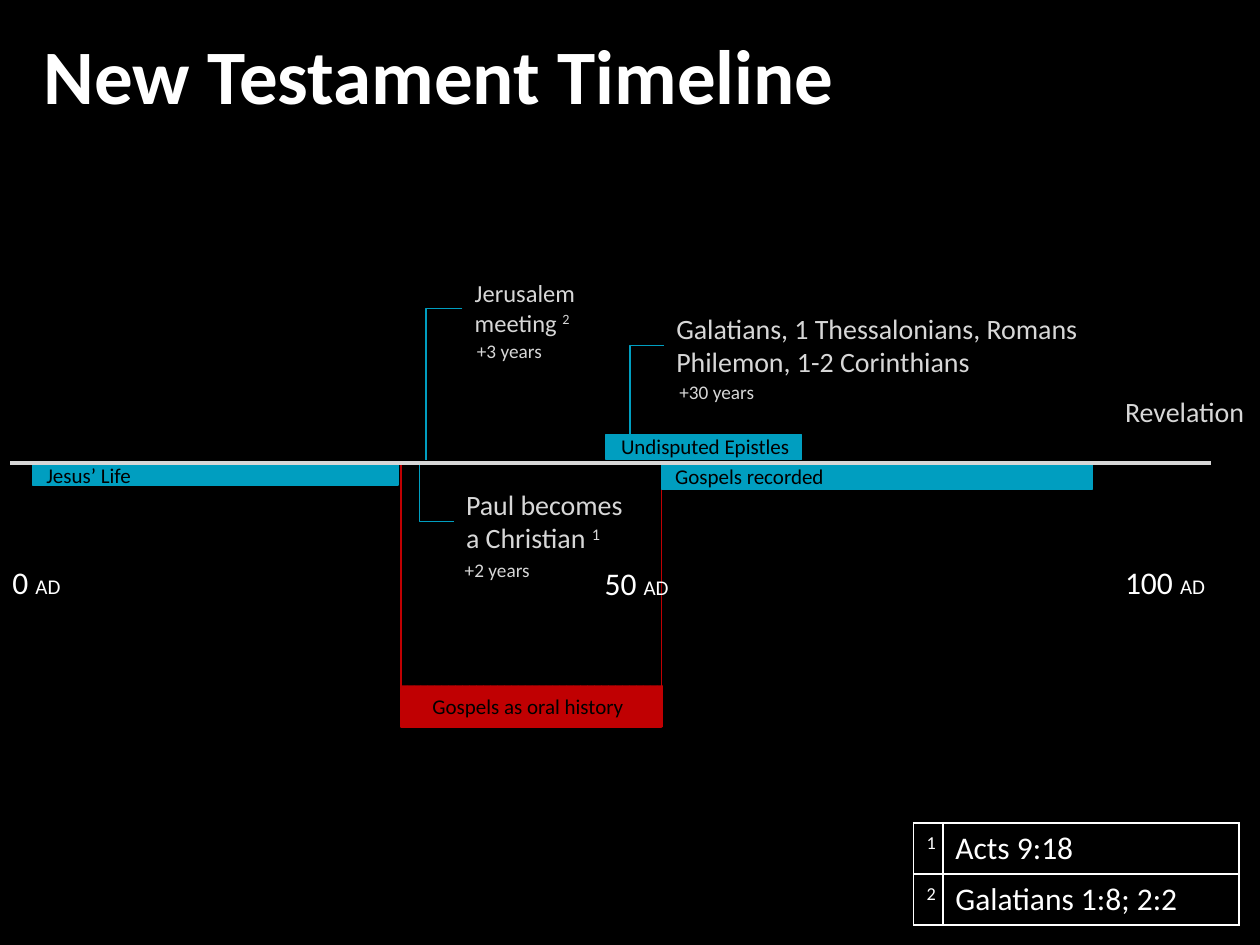
from dataclasses import dataclass
from typing import Any, Optional

import pptx
import pptx.dml.color
import pptx.enum.dml
import pptx.enum.shapes
import pptx.enum.text
import pptx.oxml.ns
import pptx.util
from lxml import etree

Pt = pptx.util.Pt
ALIGN = pptx.enum.text.PP_ALIGN

BLACK, WHITE, GREY = "000000", "FFFFFF", "D7D7D7"
BLUE, RED = "009EC0", "C00002"
FONT = "Calibri"
AXIS_Y = 264.5


@dataclass(frozen=True)
class Piece:
    text: str
    size: float
    raised: bool = False


@dataclass(frozen=True)
class Label:
    left: float
    top: float
    width: float
    height: float
    paragraphs: list[list[Piece]]
    color: str = GREY
    wrap: bool = True
    bold: bool = False
    align: Optional[Any] = None


@dataclass(frozen=True)
class Block:
    left: float
    top: float
    width: float
    height: float
    fill: Optional[str] = BLUE
    line: Optional[str] = BLUE
    line_width: float = 0.75


@dataclass(frozen=True)
class Callout:
    """Elbow from a label's edge, across and then up or down to the axis."""
    label_x: float
    label_y: float
    foot_x: float
    foot_y: float


def rgb(color: str) -> pptx.dml.color.RGBColor:
    return pptx.dml.color.RGBColor.from_string(color)


def add_pieces(paragraph, pieces: list[Piece], color: str, bold: bool = False) -> None:
    for piece in pieces:
        run = paragraph.add_run()
        run.text = piece.text
        formats = {"name": FONT, "size": Pt(piece.size), "bold": bold}
        for attribute, value in formats.items():
            setattr(run.font, attribute, value)
        run.font.color.rgb = rgb(color)
        if piece.raised:
            run._r.get_or_add_rPr().set("baseline", "30000")


def add_label(slide, label: Label) -> None:
    box = slide.shapes.add_textbox(
        Pt(label.left), Pt(label.top), Pt(label.width), Pt(label.height))
    frame = box.text_frame
    formats = {"word_wrap": label.wrap,
               "auto_size": pptx.enum.text.MSO_AUTO_SIZE.SHAPE_TO_FIT_TEXT}
    for attribute, value in formats.items():
        setattr(frame, attribute, value)
    for index, pieces in enumerate(label.paragraphs):
        paragraph = frame.add_paragraph() if index else frame.paragraphs[0]
        paragraph.alignment = label.align
        add_pieces(paragraph, pieces, label.color, label.bold)


def add_block(slide, block: Block):
    shape = slide.shapes.add_shape(
        pptx.enum.shapes.MSO_SHAPE.RECTANGLE,
        Pt(block.left), Pt(block.top), Pt(block.width), Pt(block.height))
    shape.shadow.inherit = False
    if block.fill:
        shape.fill.solid()
        shape.fill.fore_color.rgb = rgb(block.fill)
    else:
        shape.fill.background()
    if block.line:
        shape.line.color.rgb = rgb(block.line)
        shape.line.width = Pt(block.line_width)
    else:
        shape.line.fill.background()
    return shape


def add_line(slide, kind, start: tuple[float, float], end: tuple[float, float],
             color: str, width: float):
    line = slide.shapes.add_connector(
        kind, Pt(start[0]), Pt(start[1]), Pt(end[0]), Pt(end[1]))
    line.line.color.rgb = rgb(color)
    line.line.width = Pt(width)
    etree.SubElement(line._element.spPr, pptx.oxml.ns.qn("a:effectLst"))
    return line


def add_callout(slide, callout: Callout) -> None:
    elbow = add_line(slide, pptx.enum.shapes.MSO_CONNECTOR.ELBOW,
                     (callout.label_x, callout.label_y),
                     (callout.foot_x, callout.foot_y), BLUE, 0.75)
    geometry = elbow._element.spPr.find(pptx.oxml.ns.qn("a:prstGeom"))
    geometry.set("prst", "bentConnector2")


def add_references(slide, references: list[str]) -> None:
    row_height = 29.2
    table = slide.shapes.add_table(
        len(references), 2, Pt(522), Pt(470.2),
        Pt(186), Pt(row_height * len(references))).table
    for flag in ("first_row", "horz_banding"):
        setattr(table, flag, False)
    for column, width in zip(table.columns, (16.8, 169.2)):
        column.width = Pt(width)
    for index, reference in enumerate(references):
        table.rows[index].height = Pt(row_height)
        number, passage = table.cell(index, 0), table.cell(index, 1)
        number.margin_left, number.margin_right = Pt(0), Pt(4)
        number.text_frame.paragraphs[0].alignment = ALIGN.RIGHT
        add_pieces(number.text_frame.paragraphs[0],
                   [Piece(str(index + 1), 18, raised=True)], WHITE)
        add_pieces(passage.text_frame.paragraphs[0], [Piece(reference, 18)], WHITE)
        for cell in (number, passage):
            cell.fill.background()


def year_label(year: int, left: float, top: float, width: float) -> Label:
    return Label(left, top, width, 29, [[Piece(f"{year} ", 18), Piece("AD", 12)]],
                 WHITE, wrap=False)


def period_label(name: str, left: float, top: float, width: float,
                 align: Optional[Any] = None) -> Label:
    return Label(left, top, width, 21.8, [[Piece(name, 12)]], BLACK, align=align)


def offset_label(years: int, left: float, top: float, width: float) -> Label:
    return Label(left, top, width, 20.6, [[Piece(f"+{years} years", 11)]], wrap=False)


PERIODS = [
    Block(378, 265, 246.2, 14.4),
    Block(18.7, 265, 208.8, 12.2),
    Block(346.3, 248.4, 111.6, 14.4),
]
LABELS = [
    Label(18, 12.2, 678, 60.5, [[Piece("New Testament Timeline", 44)]], WHITE, bold=True),
    year_label(0, 0, 318.2, 42.5),
    year_label(50, 338.4, 319, 51.8),
    year_label(100, 635.8, 318.2, 60.5),
    period_label("Jesus’ Life", 19.4, 260.6, 169.2),
    period_label("Undisputed Epistles", 347.8, 244.1, 110.9),
    period_label("Gospels recorded", 378.7, 261.4, 134),
    period_label("Gospels as oral history", 226.8, 392.8, 149.8, ALIGN.CENTER),
    Label(259.2, 275, 106.6, 46,
          [[Piece("Paul becomes a Christian ", 16), Piece("1", 16, raised=True)]]),
    offset_label(2, 258.5, 315.4, 52.6),
    Label(264.2, 155.5, 77.8, 41,
          [[Piece("Jerusalem meeting ", 14), Piece("2", 14, raised=True)]]),
    offset_label(3, 265.4, 190.2, 52.6),
    Label(379.4, 174.2, 270.7, 46,
          [[Piece("Galatians, 1 Thessalonians, Romans", 16)],
           [Piece("Philemon, 1-2 Corinthians", 16)]]),
    offset_label(30, 381.1, 213.8, 58.3),
    Label(635.8, 221.8, 84.2, 26.6, [[Piece("Revelation", 16)]]),
]
CALLOUTS = [
    Callout(264.2, 176.4, 243.4, 263),
    Callout(259.2, 297.9, 239.8, 265),
    Callout(379.4, 197.3, 360, 248.4),
]


def main() -> None:
    deck = pptx.Presentation()
    deck.slide_width, deck.slide_height = Pt(720), Pt(540)
    slide = deck.slides.add_slide(deck.slide_layouts[6])
    slide.background.fill.solid()
    slide.background.fill.fore_color.rgb = rgb(BLACK)

    oral_history = add_block(slide, Block(229, 391.7, 149.8, 23.8, RED, None))
    oral_history.fill.patterned()
    oral_history.fill.pattern = pptx.enum.dml.MSO_PATTERN.WIDE_UPWARD_DIAGONAL
    oral_history.fill.fore_color.rgb = rgb(RED)
    oral_history.fill.back_color.rgb = rgb(RED)
    add_block(slide, Block(229, AXIS_Y, 149, 151, None, RED, 1))

    for period in PERIODS:
        add_block(slide, period)
    for callout in CALLOUTS:
        add_callout(slide, callout)
    add_line(slide, pptx.enum.shapes.MSO_CONNECTOR.STRAIGHT,
             (5.8, AXIS_Y), (691.9, AXIS_Y), GREY, 2)
    for label in LABELS:
        add_label(slide, label)
    add_references(slide, ["Acts 9:18", "Galatians 1:8; 2:2"])
    deck.save("out.pptx")


if __name__ == "__main__":
    main()
